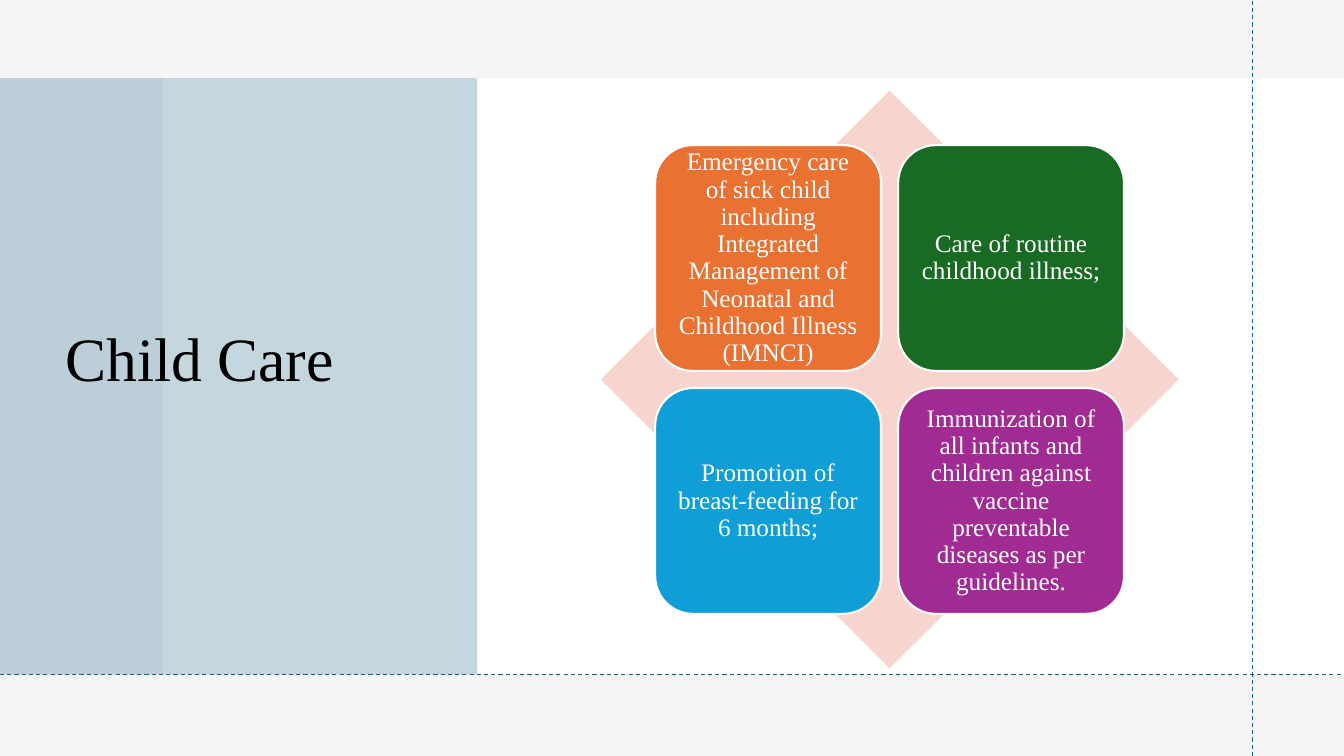
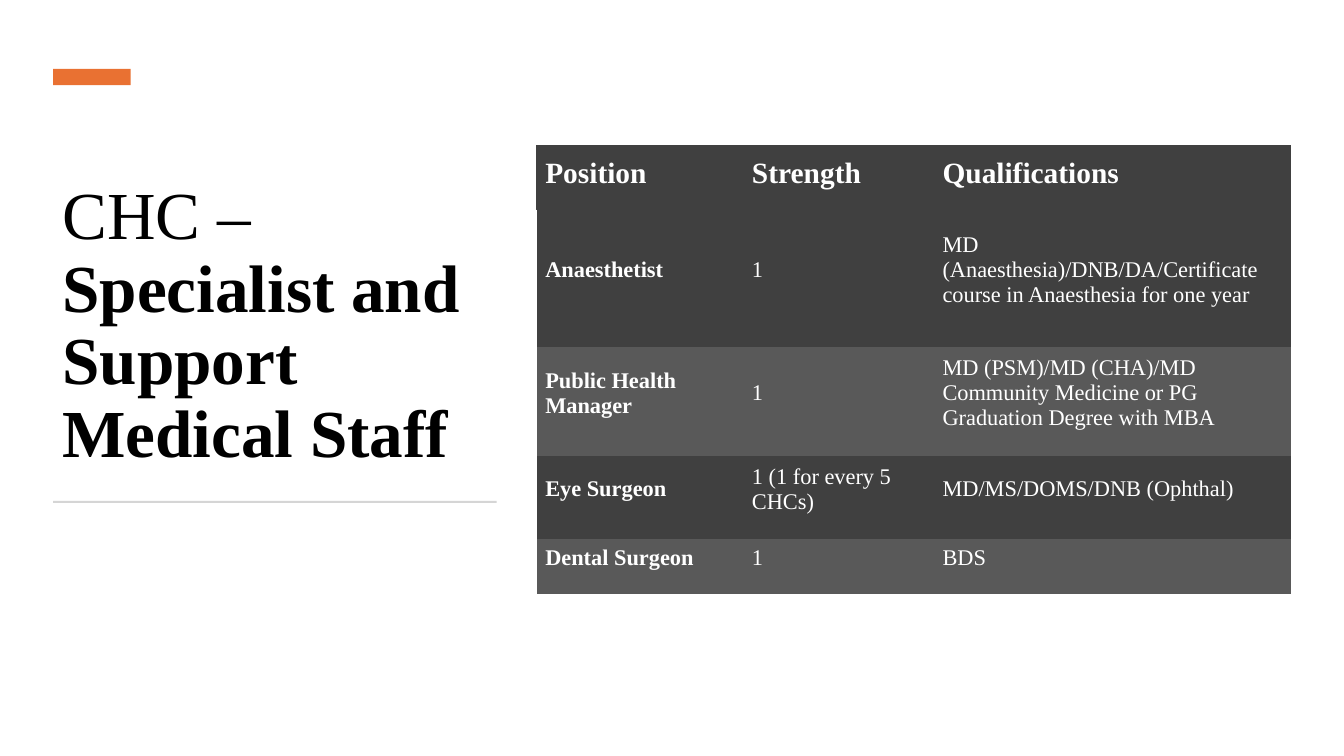
from lxml import etree
from pptx import Presentation
from pptx.dml.color import RGBColor
from pptx.enum.dml import MSO_LINE
from pptx.enum.shapes import MSO_CONNECTOR, MSO_SHAPE
from pptx.enum.text import MSO_ANCHOR, PP_ALIGN
from pptx.oxml.ns import qn
from pptx.util import Inches, Pt

RECT, ROUND, GEM = MSO_SHAPE.RECTANGLE, MSO_SHAPE.ROUNDED_RECTANGLE, MSO_SHAPE.DIAMOND
MID, LOW = MSO_ANCHOR.MIDDLE, MSO_ANCHOR.BOTTOM
LEFT, MIDST = PP_ALIGN.LEFT, PP_ALIGN.CENTER
FONT = "Times New Roman"
WHITE, BLACK, PALE, TEAL, FLAME = "FFFFFF", "000000", "F5F5F5", "156082", "E97132"
DARK, GREY = "404040", "595959"
PLAIN = "{2D5ABB26-0587-4C30-8999-92F81FD0307C}"  # table style without grid


def paint(fill, tint):
    fill.solid()
    fill.fore_color.rgb = RGBColor.from_string(tint)


def write(frame, text, size=18, tint=WHITE, bold=False, align=LEFT, space=None):
    """Fill the first paragraph; text is a string or a list of (text, bold)."""
    para = frame.paragraphs[0]
    para.alignment = align
    para.line_spacing = space
    for words, heavy in [(text, bold)] if isinstance(text, str) else text:
        run = para.add_run()
        run.text = words
        run.font.name, run.font.size, run.font.bold = FONT, Pt(size), heavy
        paint(run.font.fill, tint)


deck = Presentation()
deck.slide_width, deck.slide_height = Inches(13.33), Inches(7.5)
COL, ROW = deck.slide_width / 100, deck.slide_height / 100  # one percent each way
care, staff = [deck.slides.add_slide(deck.slide_layouts[6]) for _ in range(2)]
paint(care.background.fill, PALE)
paint(staff.background.fill, WHITE)

# Plain blocks: slide, kind, left, top, width, height, colour, opacity
blocks = [
    (care, RECT, 12.15, 10.33, 87.85, 78.93, WHITE, 100),
    (care, RECT, 0, 10.33, 35.5, 78.93, TEAL, 25),
    (care, GEM, 44.7, 12, 43, 76.4, "F7D5CE", 100),
    (staff, RECT, 3.95, 9.13, 5.78, 2.13, FLAME, 100),
    (staff, RECT, 3.95, 66.27, 33, 0.27, "D5D5D5", 100),
]
for slide, kind, x, y, w, h, tint, alpha in blocks:
    shape = slide.shapes.add_shape(
        kind, int(x * COL), int(y * ROW), int(w * COL), int(h * ROW))
    shape.shadow.inherit = False
    shape.line.fill.background()
    paint(shape.fill, tint)
    if alpha < 100:
        color = shape.fill._xPr.find(".//" + qn("a:srgbClr"))
        etree.SubElement(color, qn("a:alpha")).set("val", str(alpha * 1000))

# Titles
titles = [
    (care, 4.13, 9.87, 29.62, 75.87, MID, 44, "Child Care"),
    (staff, 3.9, 16.4, 33, 46.67, LOW, 48,
     [("CHC – ", False), ("Specialist and Support Medical Staff", True)]),
]
for slide, x, y, w, h, anchor, size, text in titles:
    frame = slide.shapes.add_textbox(
        int(x * COL), int(y * ROW), int(w * COL), int(h * ROW)).text_frame
    frame.word_wrap, frame.vertical_anchor = True, anchor
    write(frame, text, size=size, tint=BLACK, space=0.9)

# Dashed guide lines
for ends in [(93.2, 100, 93.2, 0), (0, 89.2, 100, 89.2)]:
    x1, y1, x2, y2 = [int(n * unit) for n, unit in zip(ends, (COL, ROW) * 2)]
    guide = care.shapes.add_connector(MSO_CONNECTOR.STRAIGHT, x1, y1, x2, y2)
    paint(guide.line.fill, TEAL)
    guide.line.width, guide.line.dash_style = Pt(0.75), MSO_LINE.DASH
    etree.SubElement(guide._element.spPr, qn("a:effectLst"))

# Cards, two by two over the diamond
cards = [
    (FLAME, "Emergency care of sick child including Integrated Management of "
            "Neonatal and Childhood Illness (IMNCI)"),
    ("196B24", "Care of routine childhood illness;"),
    ("0F9ED5", "Promotion of breast-feeding for 6 months;"),
    ("A02B93", "Immunization of all infants and children against vaccine "
               "preventable diseases as per guidelines."),
]
side, step = Inches(2.24), Inches(2.41)
for n, (tint, text) in enumerate(cards):
    down, over = divmod(n, 2)
    card = care.shapes.add_shape(
        ROUND, int(48.75 * COL) + over * step, int(19.2 * ROW) + down * step, side, side)
    card.shadow.inherit = False
    paint(card.fill, tint)
    paint(card.line.fill, WHITE)
    card.line.width = Pt(1.5)
    frame = card.text_frame
    frame.word_wrap, frame.vertical_anchor = True, MID
    frame.margin_left = frame.margin_right = Inches(0.07)
    frame.margin_top = frame.margin_bottom = Inches(0.07)
    write(frame, text, align=MIDST, space=0.9)

# Staff table
rows = [
    ("Position", "Strength", "Qualifications"),
    ("Anaesthetist", "1",
     "MD (Anaesthesia)/DNB/DA/Certificate course in Anaesthesia for one year"),
    ("Public Health Manager", "1",
     "MD (PSM)/MD (CHA)/MD Community Medicine or PG Graduation Degree with MBA"),
    ("Eye Surgeon", "1 (1 for every 5 CHCs)", "MD/MS/DOMS/DNB (Ophthal)"),
    ("Dental Surgeon", "1", "BDS"),
]
wide, tall = (15.38, 14.18, 26.63), (8.53, 18.13, 14.53, 10.93, 7.33)
table = staff.shapes.add_table(
    len(rows), len(wide), int(39.9 * COL), int(19.2 * ROW),
    int(sum(wide) * COL), int(sum(tall) * ROW)).table
table._tbl.tblPr.find(qn("a:tableStyleId")).text = PLAIN
for col, w in zip(table.columns, wide):
    col.width = int(w * COL)
for r, (row, h) in enumerate(zip(rows, tall)):
    table.rows[r].height = int(h * ROW)
    for c, text in enumerate(row):
        cell = table.cell(r, c)
        cell.margin_left, cell.margin_right = Inches(0.09), Inches(0.13)
        cell.margin_top, cell.margin_bottom = Inches(0.03), Inches(0.2)
        cell.vertical_anchor = MID if r else LOW
        paint(cell.fill, GREY if r and r % 2 == 0 else DARK)
        write(cell.text_frame, text, size=16 if r else 21, bold=r == 0 or c == 0)
        if r and c == 0:  # white left edge
            edge = etree.Element(qn("a:lnL"), w=str(Pt(1)))
            fill = etree.SubElement(edge, qn("a:solidFill"))
            etree.SubElement(fill, qn("a:srgbClr"), val=WHITE)
            cell._tc.tcPr.insert(0, edge)

deck.save("out.pptx")
